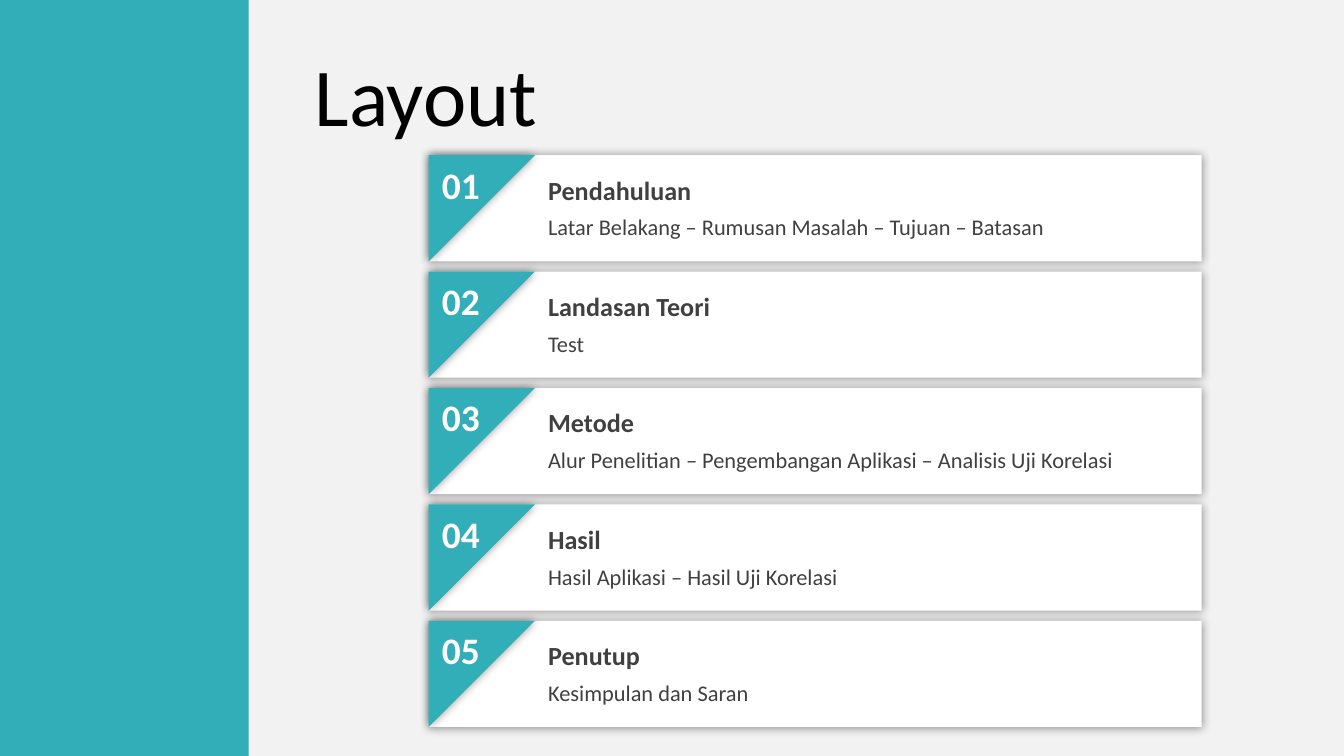
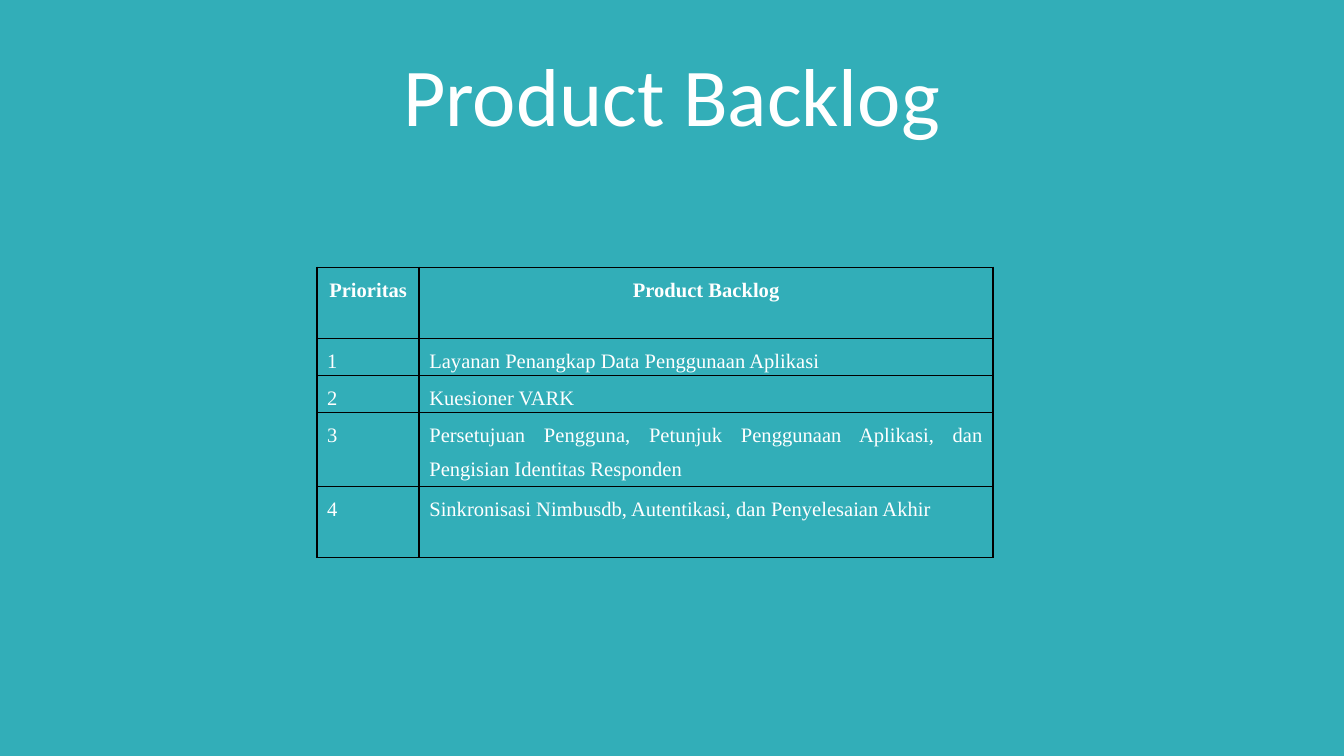
from dataclasses import dataclass
from typing import NamedTuple

from lxml.etree import SubElement
from pptx import Presentation
from pptx.dml.color import RGBColor
from pptx.enum.shapes import MSO_SHAPE as Preset
from pptx.enum.text import MSO_ANCHOR as Anchor, MSO_AUTO_SIZE as AutoSize, PP_ALIGN as Align
from pptx.oxml import parse_xml
from pptx.oxml.ns import nsdecls, qn
from pptx.util import Emu, Inches, Pt

# The slide is a grid of 100 columns; rows are as high as columns are wide
SLIDE_W, SLIDE_H = Inches(10), Inches(5.625)
UNIT = SLIDE_W / 100
ROWS = SLIDE_H / UNIT


def units(n: float) -> Emu:
    return Emu(round(n * UNIT))


class Box(NamedTuple):
    col: float
    row: float
    cols: float
    rows: float

    def emu(self) -> tuple:
        return tuple(units(n) for n in self)


@dataclass(frozen=True)
class Style:
    size: float
    color: str
    bold: bool = False
    font: str = "Calibri"


@dataclass(frozen=True)
class Theme:
    teal: str = "32AEB8"
    paper: str = "F2F2F2"
    white: str = "FFFFFF"
    black: str = "000000"
    title_size: float = 44
    number: Style = Style(20, "FFFFFF", True)
    heading: Style = Style(14, "404040", True)
    detail: Style = Style(12, "404040")
    table_head: Style = Style(11, "FFFFFF", True, "Times New Roman")
    table_body: Style = Style(11, "FFFFFF", False, "Times New Roman")
    border_pt: float = 1
    shadow_pt: float = 5
    shadow_alpha: int = 40


THEME = Theme()


class Chapter(NamedTuple):
    heading: str
    detail: str


class BacklogRow(NamedTuple):
    priority: str
    item: str
    rows: float


CHAPTERS = [
    Chapter("Pendahuluan", "Latar Belakang – Rumusan Masalah – Tujuan – Batasan"),
    Chapter("Landasan Teori", "Test"),
    Chapter("Metode", "Alur Penelitian – Pengembangan Aplikasi – Analisis Uji Korelasi"),
    Chapter("Hasil", "Hasil Aplikasi – Hasil Uji Korelasi"),
    Chapter("Penutup", "Kesimpulan dan Saran"),
]
BACKLOG = [
    BacklogRow("Prioritas", "Product Backlog", 5.3),
    BacklogRow("1", "Layanan Penangkap Data Penggunaan Aplikasi", 2.75),
    BacklogRow("2", "Kuesioner VARK", 2.75),
    BacklogRow("3", "Persetujuan Pengguna, Petunjuk Penggunaan Aplikasi, "
                    "dan Pengisian Identitas Responden", 5.5),
    BacklogRow("4", "Sinkronisasi Nimbusdb, Autentikasi, dan Penyelesaian Akhir", 5.3),
]
BACKLOG_COLS = (7.6, 42.7)

# Chapter cards
CARD = Box(31.9, 11.55, 57.5, 7.9)
CARD_PITCH = 8.66
TEXT_COL, TEXT_COLS = CARD.col + CARD.rows, 48


def rgb(color: str) -> RGBColor:
    return RGBColor.from_string(color)


def add_run(p, text: str, style: Style) -> None:
    r = p.add_run()
    r.text = text
    r.font.name, r.font.size, r.font.bold = style.font, Pt(style.size), style.bold
    r.font.color.rgb = rgb(style.color)


def add_text(shapes, box: Box, text: str, style: Style) -> None:
    tf = shapes.add_textbox(*box.emu()).text_frame
    tf.word_wrap, tf.auto_size = True, AutoSize.SHAPE_TO_FIT_TEXT
    add_run(tf.paragraphs[0], text, style)


def add_block(shapes, preset: Preset, box: Box, color: str, shadow: bool = False):
    sp = shapes.add_shape(preset, *box.emu())
    sp.fill.solid()
    sp.fill.fore_color.rgb = rgb(color)
    sp.line.fill.background()
    sp.shadow.inherit = False
    if shadow:
        effects = sp._element.spPr.find(qn("a:effectLst"))
        outer = SubElement(effects, qn("a:outerShdw"), blurRad=str(Pt(THEME.shadow_pt)),
                           algn="ctr", rotWithShape="0")
        tint = SubElement(outer, qn("a:srgbClr"), val=THEME.black)
        SubElement(tint, qn("a:alpha"), val=str(THEME.shadow_alpha * 1000))
    return sp


def add_slide(prs, background: str, title: str, box: Box, color: str, align: Align):
    s = prs.slides.add_slide(prs.slide_layouts[5])
    s.background.fill.solid()
    s.background.fill.fore_color.rgb = rgb(background)
    sp = s.shapes.title
    sp.left, sp.top, sp.width, sp.height = box.emu()
    tf = sp.text_frame
    tf.vertical_anchor, tf.auto_size = Anchor.MIDDLE, AutoSize.NONE
    p = tf.paragraphs[0]
    p.alignment = align
    add_run(p, title, Style(THEME.title_size, color))
    return s


def add_chapter(s, index: int, chapter: Chapter) -> None:
    top = CARD.row + index * CARD_PITCH
    card = s.shapes.add_group_shape().shapes
    add_block(card, Preset.RECTANGLE, CARD._replace(row=top), THEME.white, shadow=True)
    corner = add_block(card, Preset.RIGHT_TRIANGLE, Box(CARD.col, top, CARD.rows, CARD.rows),
                       THEME.teal, shadow=True)
    corner.rotation = 90
    add_text(s.shapes, Box(CARD.col, top, 5.8, 4.4), f"{index + 1:02d}", THEME.number)
    texts = s.shapes.add_group_shape().shapes
    add_text(texts, Box(TEXT_COL, top + 0.9, TEXT_COLS, 3.4), chapter.heading, THEME.heading)
    add_text(texts, Box(TEXT_COL, top + 3.85, TEXT_COLS, 3), chapter.detail, THEME.detail)


def format_cell(cell, text: str, style: Style, align: Align) -> None:
    cell.margin_left = cell.margin_right = units(0.75)
    cell.margin_top = cell.margin_bottom = 0
    cell.fill.background()
    p = cell.text_frame.paragraphs[0]
    p.alignment, p.line_spacing = align, 1.5
    add_run(p, text, style)
    # Borders stand before the fill in the cell properties
    tc_pr = cell._tc.get_or_add_tcPr()
    for i, side in enumerate("LRTB"):
        tc_pr.insert(i, parse_xml(
            f'<a:ln{side} {nsdecls("a")} w="{Pt(THEME.border_pt)}"><a:solidFill>'
            f'<a:srgbClr val="{THEME.black}"/></a:solidFill></a:ln{side}>'))


def add_backlog(s) -> None:
    box = Box(23.6, 19.9, sum(BACKLOG_COLS), sum(row.rows for row in BACKLOG))
    table = s.shapes.add_table(len(BACKLOG), len(BACKLOG_COLS), *box.emu()).table
    table.first_row = table.horz_banding = False
    for column, cols in zip(table.columns, BACKLOG_COLS):
        column.width = units(cols)
    for i, row in enumerate(BACKLOG):
        table.rows[i].height = units(row.rows)
        style, align = ((THEME.table_body, Align.JUSTIFY) if i
                        else (THEME.table_head, Align.CENTER))
        for cell, text in zip(table.rows[i].cells, (row.priority, row.item)):
            format_cell(cell, text, style, align)


def main() -> None:
    prs = Presentation()
    prs.slide_width, prs.slide_height = SLIDE_W, SLIDE_H

    # Slide 1: chapter overview
    s = add_slide(prs, THEME.paper, "Layout", Box(22.4, 2.3, 72.6, 9.4),
                  THEME.black, Align.LEFT)
    add_block(s.shapes, Preset.RECTANGLE, Box(0, 0, 18.5, ROWS), THEME.teal)
    for i, chapter in enumerate(CHAPTERS):
        add_chapter(s, i, chapter)

    # Slide 2: backlog table
    s = add_slide(prs, THEME.teal, "Product Backlog", Box(5, 2.3, 90, 9.4),
                  THEME.white, Align.CENTER)
    add_backlog(s)

    prs.save("out.pptx")


if __name__ == "__main__":
    main()
